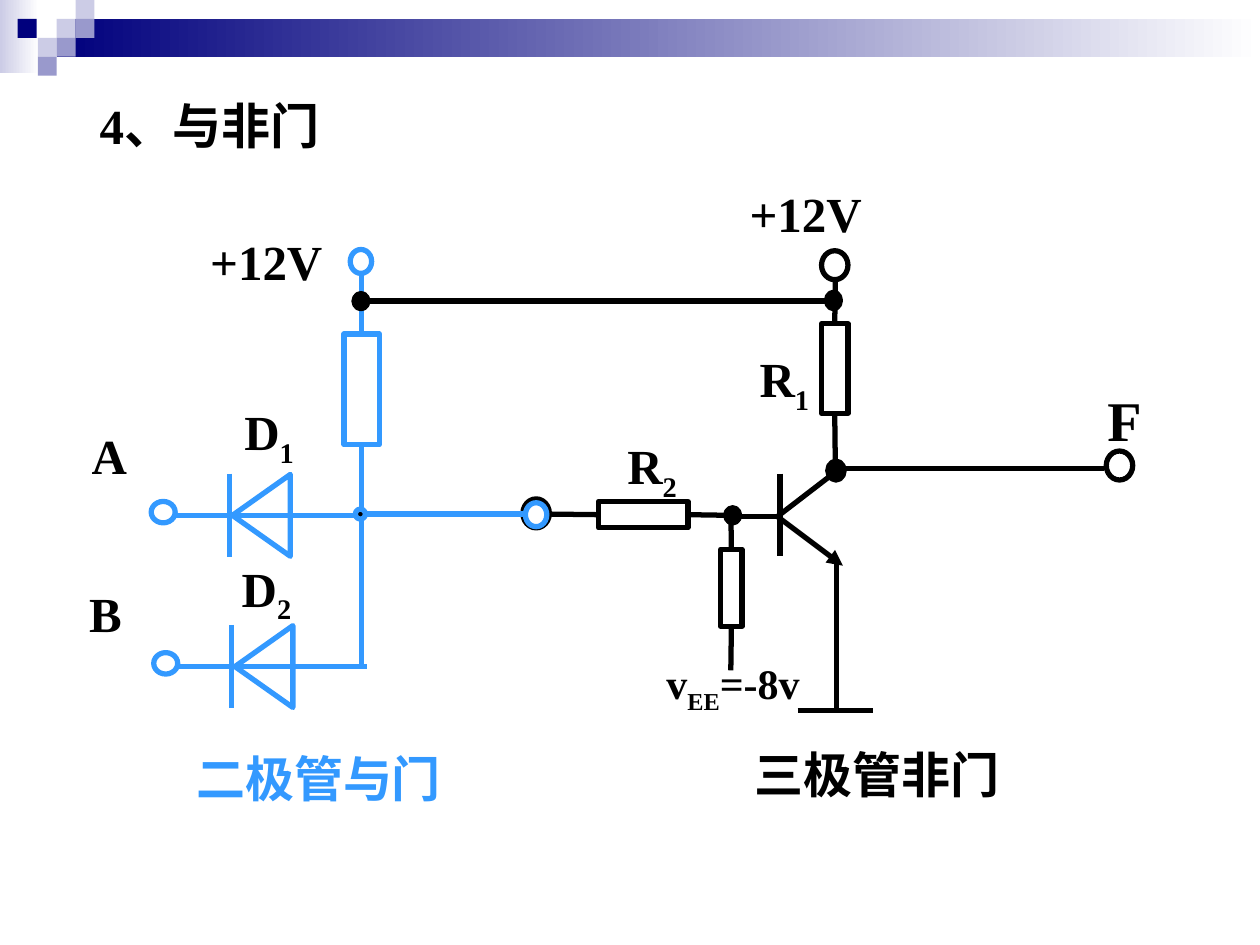
from pptx import Presentation
from pptx.dml.color import RGBColor
from pptx.enum.shapes import MSO_CONNECTOR, MSO_SHAPE
from pptx.enum.text import MSO_ANCHOR, MSO_AUTO_SIZE, PP_ALIGN
from pptx.oxml.ns import qn
from pptx.util import Inches, Pt
from lxml import etree

STRAIGHT = MSO_CONNECTOR.STRAIGHT
RECTANGLE = MSO_SHAPE.RECTANGLE
OVAL = MSO_SHAPE.OVAL
TRIANGLE = MSO_SHAPE.ISOSCELES_TRIANGLE
TOP_ANCHOR = MSO_ANCHOR.TOP
LEFT_ALIGN = PP_ALIGN.LEFT
FIT_SHAPE = MSO_AUTO_SIZE.SHAPE_TO_FIT_TEXT
TOP, LEFT, BOTTOM, RIGHT = range(4)

BLACK, BLUE = "000000", "3399FF"
NAVY, LAVENDER, VIOLET, WHITE = "00007D", "CCCCE6", "9999CC", "FFFFFF"


def color(value):
    return RGBColor.from_string(value)


class CircuitSlide:
    """Draws circuit elements in one style on the current slide."""

    font_name = "Times New Roman"
    line_width = Pt(3)

    def __init__(self, slide):
        self.slide = slide
        self.shapes = slide.shapes

    def block(self, left, top, width, height, *fills):
        shape = self.shapes.add_shape(
            RECTANGLE, Inches(left), Inches(top), Inches(width), Inches(height))
        shape.shadow.inherit = False
        shape.line.fill.background()
        if len(fills) == 1:
            shape.fill.solid()
            shape.fill.fore_color.rgb = color(fills[0])
        else:
            shape.fill.gradient()
            shape.fill.gradient_angle = 0
            for stop, fill in zip(shape.fill.gradient_stops, fills):
                stop.color.rgb = color(fill)

    def symbol(self, kind, left, top, width, height, line=BLACK, fill=None):
        shape = self.shapes.add_shape(
            kind, Inches(left), Inches(top), Inches(width), Inches(height))
        shape.shadow.inherit = False
        shape.line.color.rgb = color(line)
        shape.line.width = self.line_width
        if fill:
            shape.fill.solid()
            shape.fill.fore_color.rgb = color(fill)
        else:
            shape.fill.background()
        return shape

    def wire(self, x1, y1, x2, y2, line=BLACK, start=None, end=None, arrow=False):
        connector = self.shapes.add_connector(
            STRAIGHT, Inches(x1), Inches(y1), Inches(x2), Inches(y2))
        connector.line.color.rgb = color(line)
        connector.line.width = self.line_width
        if start:
            connector.begin_connect(*start)
        if end:
            connector.end_connect(*end)
        properties = connector._element.spPr
        if arrow:
            etree.SubElement(properties.find(qn("a:ln")), qn("a:tailEnd"), type="triangle")
        etree.SubElement(properties, qn("a:effectLst"))

    def set_text(self, text_frame, parts, size, fill):
        text_frame.word_wrap = True
        text_frame.auto_size = FIT_SHAPE
        text_frame.vertical_anchor = TOP_ANCHOR
        paragraph = text_frame.paragraphs[0]
        paragraph.alignment = LEFT_ALIGN
        for index, part in enumerate(parts):
            run = paragraph.add_run()
            run.text = part
            run.font.name = self.font_name
            run.font.size = Pt(size)
            run.font.bold = True
            run.font.color.rgb = color(fill)
            if index == 1:
                run.font._element.set("baseline", "-25000")

    def label(self, left, top, width, height, *parts, size=28, fill=BLACK):
        box = self.shapes.add_textbox(
            Inches(left), Inches(top), Inches(width), Inches(height))
        self.set_text(box.text_frame, parts, size, fill)

    def title(self, left, top, width, height, text):
        title = self.shapes.title
        title.left, title.top = Inches(left), Inches(top)
        title.width, title.height = Inches(width), Inches(height)
        self.set_text(title.text_frame, [text], 28, BLACK)

    def diode(self, x, y):
        self.wire(x + 0.62, y, x + 0.62, y + 0.66, BLUE)
        triangle = self.symbol(TRIANGLE, x + 0.55, y + 0.1, 0.65, 0.46, BLUE)
        triangle.rotation = 270
        self.wire(x + 0.19, y + 0.33, x + 1.69, y + 0.33, BLUE)
        self.symbol(OVAL, x, y + 0.22, 0.19, 0.17, BLUE)


def draw_banner(page):
    page.block(0, 0, 0.31, 0.58, LAVENDER, WHITE)
    page.block(0.45, 0.15, 9.55, 0.3, NAVY, WHITE)
    squares = [(0.45, 0.15, LAVENDER), (0.6, 0, LAVENDER), (0.6, 0.15, VIOLET),
               (0.3, 0.3, LAVENDER), (0.14, 0.15, NAVY), (0.45, 0.3, VIOLET),
               (0.3, 0.45, VIOLET)]
    for left, top, fill in squares:
        page.block(left, top, 0.15, 0.15, fill)


def draw_transistor_gate(page):
    page.wire(6.19, 3.76, 6.19, 4.41)
    page.wire(6.17, 4.1, 6.69, 4.49, arrow=True)
    page.wire(6.17, 4.1, 6.69, 3.7)
    page.wire(6.17, 4.1, 5.88, 4.1)
    page.wire(6.62, 3.72, 8.76, 3.72)
    page.wire(6.64, 4.46, 6.64, 5.64)
    page.wire(6.33, 5.64, 6.93, 5.64)
    for left, top in [(4.15, 3.96), (8.78, 3.58), (6.52, 1.99)]:
        page.symbol(OVAL, left, top, 0.21, 0.23)

    collector = page.symbol(RECTANGLE, 6.52, 2.57, 0.21, 0.71)
    page.wire(6.63, 3.28, 6.63, 3.72, start=(collector, BOTTOM))
    page.wire(6.63, 2.57, 6.63, 2.22, start=(collector, TOP))

    base = page.symbol(RECTANGLE, 4.75, 3.98, 0.71, 0.21)
    page.wire(4.75, 4.08, 4.34, 4.08, start=(base, LEFT))
    page.wire(5.78, 4.09, 5.46, 4.09, end=(base, RIGHT))

    bias = page.symbol(RECTANGLE, 5.72, 4.36, 0.17, 0.61)
    page.wire(5.8, 4.03, 5.8, 4.36, end=(bias, TOP))
    page.wire(5.8, 4.97, 5.8, 5.32, start=(bias, BOTTOM))

    page.label(5.93, 2.72, 0.65, 0.63, "R", "1")
    page.label(4.88, 3.41, 0.65, 0.63, "R", "2")
    page.label(8.69, 3.01, 0.66, 0.64, "F", size=32)
    page.label(5.85, 1.41, 1.25, 0.57, "+12V")
    page.label(5.19, 5.17, 1.68, 0.56, "v", "EE", "=-8v", size=24)
    page.label(5.89, 5.86, 2.67, 0.57, "三极管非门")


def draw_diode_gate(page):
    page.diode(1.22, 4.96)
    page.diode(1.2, 3.76)
    page.wire(2.84, 4.08, 4.19, 4.08, BLUE)
    pull_up = page.symbol(RECTANGLE, 2.73, 2.65, 0.28, 0.88, BLUE)
    page.wire(2.87, 5.28, 2.87, 3.53, BLUE, end=(pull_up, BOTTOM))
    page.wire(2.87, 2.65, 2.87, 2.15, BLUE, start=(pull_up, TOP))
    for left, top in [(2.78, 1.98), (4.17, 3.99)]:
        page.symbol(OVAL, left, top, 0.17, 0.19, BLUE)
    page.symbol(OVAL, 2.82, 4.04, 0.08, 0.08, BLUE, BLACK)

    page.label(1.84, 3.14, 0.69, 0.63, "D", "1")
    page.label(1.82, 4.38, 0.69, 0.63, "D", "2")
    page.label(0.63, 3.33, 0.6, 0.57, "A")
    page.label(0.61, 4.58, 0.6, 0.57, "B")
    page.label(1.57, 1.79, 1.44, 0.57, "+12V")
    page.label(1.46, 5.89, 2.63, 0.57, "二极管与门", fill=BLUE)


def draw_junctions(page):
    page.wire(2.86, 2.39, 6.59, 2.39)
    junctions = [(6.57, 3.66, 0.13, 0.15), (5.76, 4.03, 0.11, 0.12),
                 (6.56, 2.32, 0.11, 0.13), (2.81, 2.33, 0.11, 0.12)]
    for position in junctions:
        page.symbol(OVAL, *position, fill=BLACK)


def main():
    presentation = Presentation()
    presentation.slide_width = Inches(10)
    presentation.slide_height = Inches(7.5)
    page = CircuitSlide(presentation.slides.add_slide(presentation.slide_layouts[5]))
    page.title(0.69, 0.71, 4.55, 0.57, "4、与非门")
    draw_banner(page)
    draw_transistor_gate(page)
    draw_diode_gate(page)
    draw_junctions(page)
    presentation.save("out.pptx")


if __name__ == "__main__":
    main()
